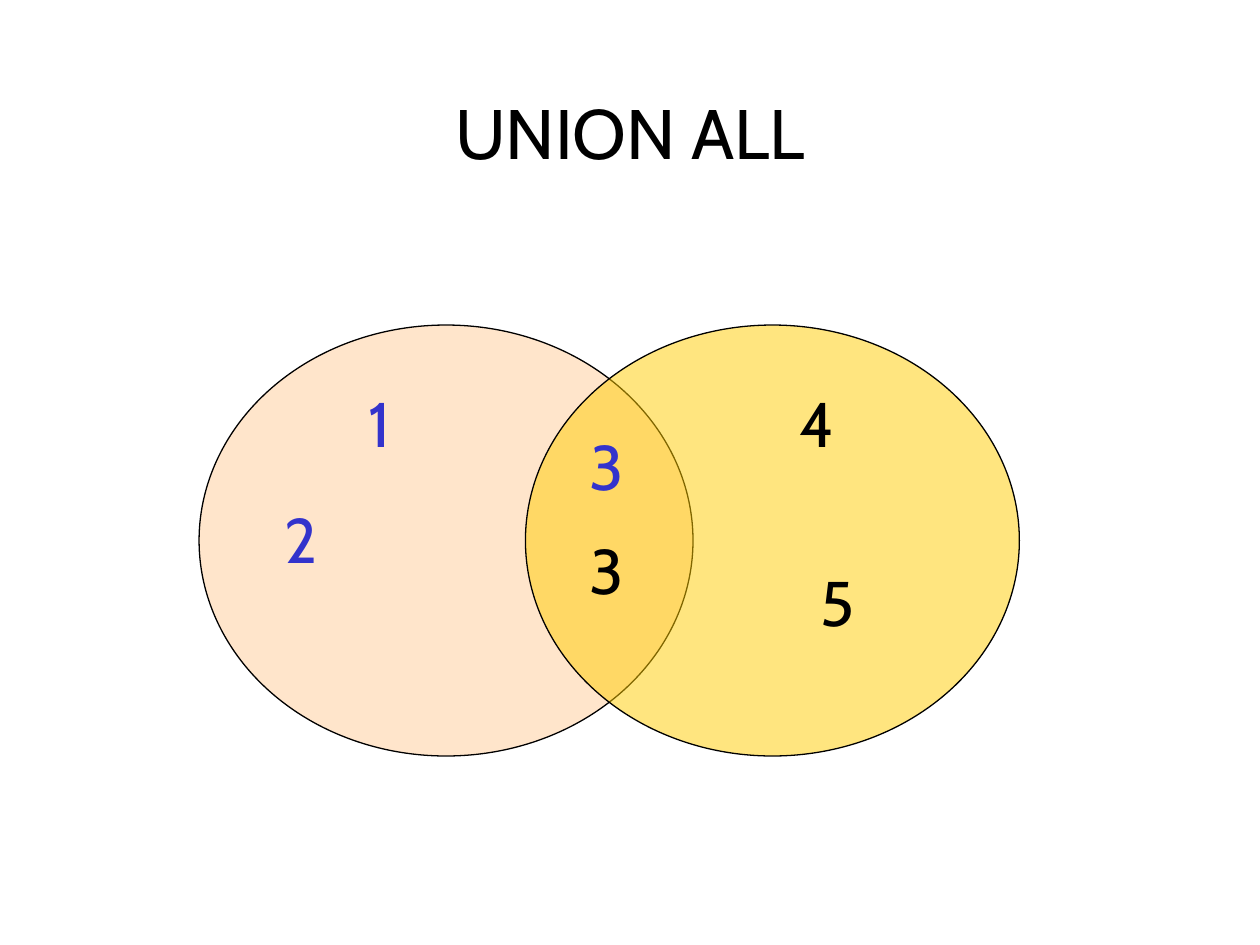
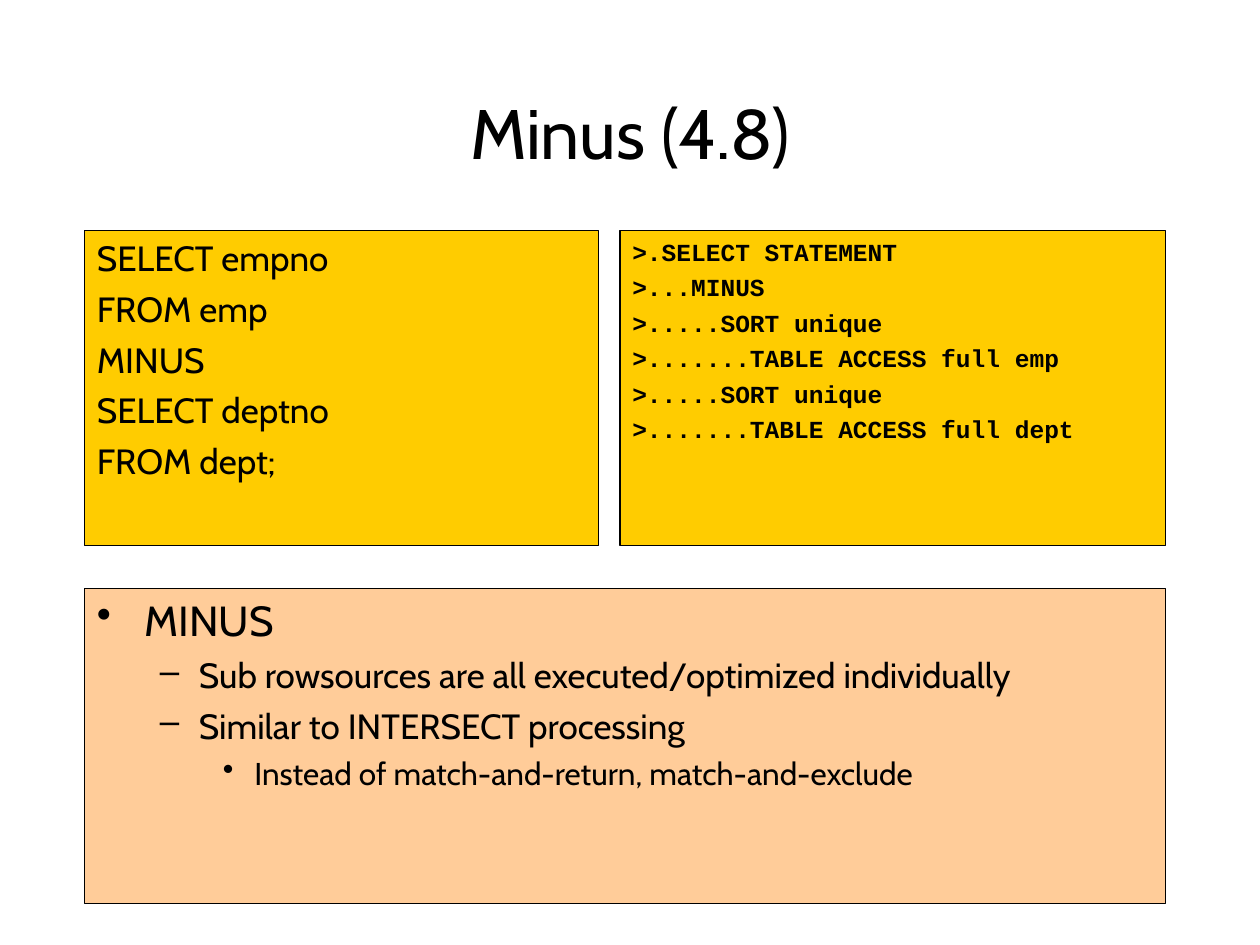
from dataclasses import dataclass

from lxml import etree
from pptx import Presentation
from pptx.dml.color import RGBColor
from pptx.enum.shapes import MSO_SHAPE
from pptx.enum.text import MSO_ANCHOR, PP_ALIGN
from pptx.oxml.ns import qn
from pptx.util import Inches, Pt

RECTANGLE = MSO_SHAPE.RECTANGLE
ELLIPSE = MSO_SHAPE.OVAL
LEFT, CENTER = PP_ALIGN.LEFT, PP_ALIGN.CENTER
TOP, MIDDLE = MSO_ANCHOR.TOP, MSO_ANCHOR.MIDDLE


@dataclass(frozen=True)
class Theme:
    font: str = "Cabin"
    code_font: str = "Courier New"
    ink: str = "000000"
    blue: str = "3333CC"
    peach: str = "FFCC99"
    gold: str = "FFCC00"
    title_size: int = 40
    number_size: int = 36
    query_size: int = 20
    plan_size: int = 14
    line_width: float = 0.75
    space_ratio: float = 0.25
    levels: tuple = (("•", 24, 0.38, 0.38), ("–", 20, 0.81, 0.31), ("•", 18, 1.25, 0.25))


THEME = Theme()


def write(para, text, *, size, font=THEME.font, color=THEME.ink, bold=False, align=LEFT):
    para.alignment = align
    span = para.add_run()
    span.text = text
    span.font.name = font
    span.font.size = Pt(size)
    span.font.bold = bold
    span.font.color.rgb = RGBColor.from_string(color)


class SlideBuilder:
    def __init__(self, deck, theme):
        self.deck = deck
        self.theme = theme
        self.slide = None

    def new_slide(self, title):
        self.slide = self.deck.slides.add_slide(self.deck.slide_layouts[6])
        frame = self.text_box(0.75, 0.67, 8.5, 0.75, anchor=MIDDLE)
        write(frame.paragraphs[0], title, size=self.theme.title_size, align=CENTER)

    def text_box(self, left, top, width, height, wrap=True, anchor=TOP):
        box = self.slide.shapes.add_textbox(
            Inches(left), Inches(top), Inches(width), Inches(height))
        box.text_frame.word_wrap = wrap
        box.text_frame.vertical_anchor = anchor
        return box.text_frame

    def shape(self, kind, left, top, width, height, color, opacity=100):
        shape = self.slide.shapes.add_shape(
            kind, Inches(left), Inches(top), Inches(width), Inches(height))
        shape.shadow.inherit = False
        shape.fill.solid()
        shape.fill.fore_color.rgb = RGBColor.from_string(color)
        shape.line.color.rgb = RGBColor.from_string(self.theme.ink)
        shape.line.width = Pt(self.theme.line_width)
        if opacity < 100:
            fill_color = shape.fill._xPr.find(qn("a:solidFill"))[0]
            etree.SubElement(fill_color, qn("a:alpha"), val=str(opacity * 1000))
        shape.text_frame.word_wrap = True
        shape.text_frame.vertical_anchor = TOP
        return shape.text_frame

    def number(self, text, left, top, color):
        frame = self.text_box(left, top, 0.48, 0.7, wrap=False)
        write(frame.paragraphs[0], text, size=self.theme.number_size, color=color)

    def next_para(self, frame, index, size):
        if index == 0:
            return frame.paragraphs[0]
        para = frame.add_paragraph()
        para.space_before = Pt(size * self.theme.space_ratio)
        return para

    def code_panel(self, left, width, lines, size, **style):
        frame = self.shape(RECTANGLE, left, 1.83, width, 2.5, self.theme.gold)
        for index, line in enumerate(lines):
            write(self.next_para(frame, index, size), line, size=size, **style)

    def bullet_panel(self, left, top, width, height, items):
        frame = self.shape(RECTANGLE, left, top, width, height, self.theme.peach)
        for index, (level, text) in enumerate(items):
            mark, size, indent, hanging = self.theme.levels[level]
            para = self.next_para(frame, index, size)
            para.level = level
            properties = para._p.get_or_add_pPr()
            properties.set("marL", str(Inches(indent)))
            properties.set("indent", str(-Inches(hanging)))
            etree.SubElement(properties, qn("a:buChar"), char=mark)
            write(para, text, size=size)


def build_union_all(builder):
    theme = builder.theme
    builder.new_slide("UNION ALL")
    for left, color in ((1.58, theme.peach), (4.17, theme.gold)):
        builder.shape(ELLIPSE, left, 2.58, 3.92, 3.42, color, opacity=50)
    first_set = (("1", 2.83, 3), ("2", 2.16, 3.92), ("3", 4.58, 3.34))
    second_set = (("3", 4.58, 4.17), ("4", 6.25, 3), ("5", 6.41, 4.42))
    for color, members in ((theme.blue, first_set), (theme.ink, second_set)):
        for text, left, top in members:
            builder.number(text, left, top, color)


def build_minus(builder):
    theme = builder.theme
    builder.new_slide("Minus (4.8)")
    query = ("SELECT empno", "FROM emp", "MINUS", "SELECT deptno", "FROM dept;")
    plan = (
        ">.SELECT STATEMENT",
        ">...MINUS",
        ">.....SORT unique",
        ">.......TABLE ACCESS full emp",
        ">.....SORT unique",
        ">.......TABLE ACCESS full dept",
    )
    builder.code_panel(0.67, 4.08, query, theme.query_size)
    builder.code_panel(4.92, 4.33, plan, theme.plan_size, font=theme.code_font, bold=True)
    builder.bullet_panel(0.67, 4.67, 8.58, 2.5, (
        (0, "MINUS"),
        (1, "Sub rowsources are all executed/optimized individually"),
        (1, "Similar to INTERSECT processing"),
        (2, "Instead of match-and-return, match-and-exclude"),
    ))


def main():
    deck = Presentation()
    deck.slide_width = Inches(10)
    deck.slide_height = Inches(7.5)
    builder = SlideBuilder(deck, THEME)
    build_union_all(builder)
    build_minus(builder)
    deck.save("out.pptx")


if __name__ == "__main__":
    main()
